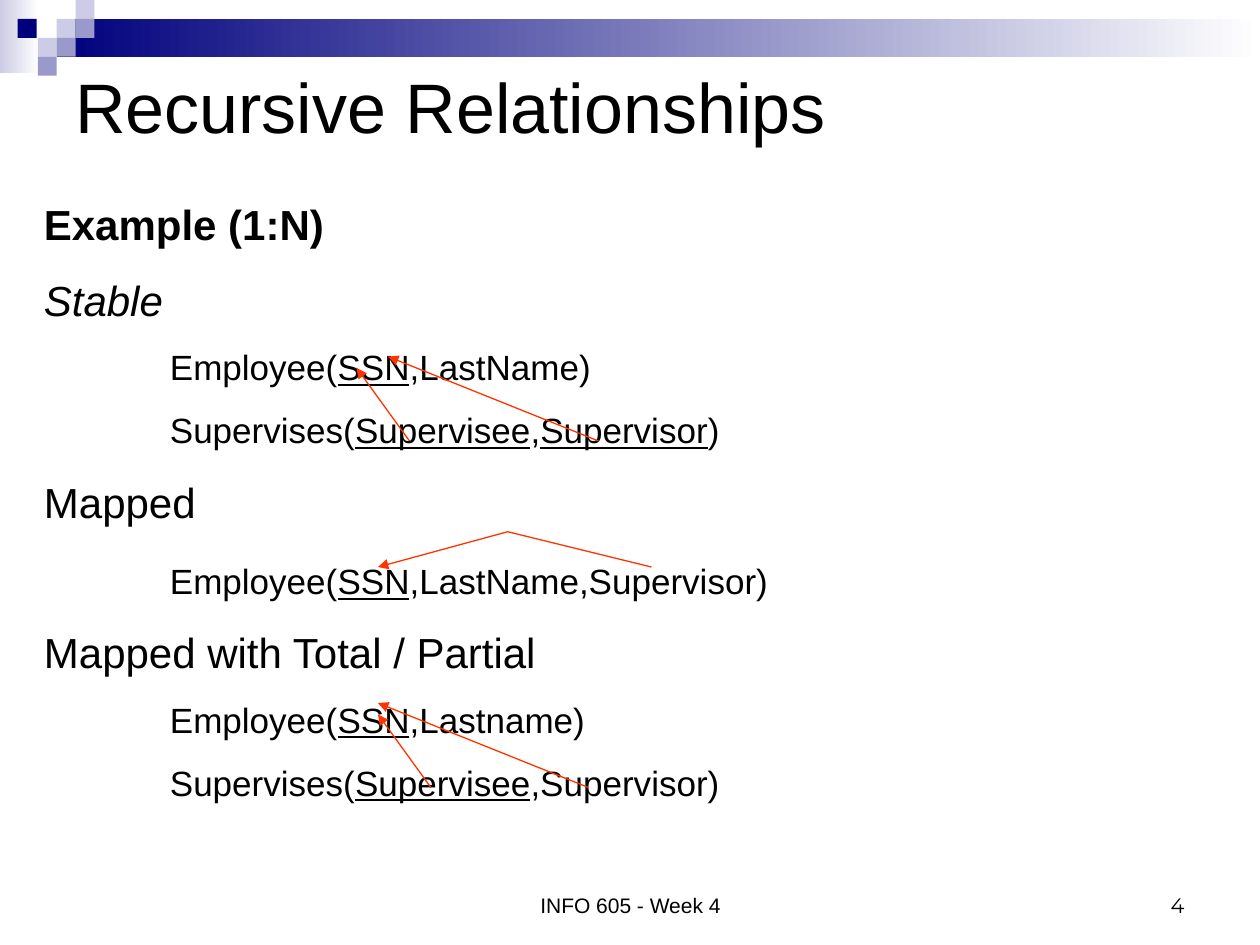
"""Build the Recursive Relationships slide with its schema notation and reference arrows."""
from lxml.etree import SubElement
from pptx import Presentation
from pptx.dml.color import RGBColor
from pptx.enum.shapes import MSO_CONNECTOR, MSO_SHAPE
from pptx.enum.text import MSO_ANCHOR, PP_ALIGN
from pptx.oxml.ns import qn
from pptx.util import Inches, Pt

NAVY = RGBColor(0x00, 0x00, 0x7D)
LAVENDER = RGBColor(0xCC, 0xCC, 0xE6)
PERIWINKLE = RGBColor(0x99, 0x99, 0xCC)
WHITE = RGBColor(0xFF, 0xFF, 0xFF)
BLACK = RGBColor(0x00, 0x00, 0x00)
ORANGE = RGBColor(0xFF, 0x33, 0x00)


def style_paragraph(paragraph, size, name="Arial"):
    paragraph.font.size = Pt(size)
    paragraph.font.name = name
    paragraph.font.color.rgb = BLACK


def style_arrow(arrow):
    arrow.line.color.rgb = ORANGE
    arrow.line.width = Pt(0.75)
    SubElement(arrow.line._get_or_add_ln(), qn("a:tailEnd"), type="triangle")


presentation = Presentation()
presentation.slide_width = Inches(10)
presentation.slide_height = Inches(7.5)
slide = presentation.slides.add_slide(presentation.slide_layouts[6])
shapes = slide.shapes

bands = [
    (0, 0, 0.31, 0.58, LAVENDER),
    (0.45, 0.15, 9.55, 0.3, NAVY),
]
for left, top, width, height, color in bands:
    band = shapes.add_shape(
        MSO_SHAPE.RECTANGLE, Inches(left), Inches(top), Inches(width), Inches(height)
    )
    band.shadow.inherit = False
    band.line.fill.background()
    band.fill.gradient()
    band.fill.gradient_angle = 0
    for stop, stop_color in zip(band.fill.gradient_stops, (color, WHITE)):
        stop.color.rgb = stop_color

tile_size = Inches(0.15)
tiles = [
    (0.45, 0.15, LAVENDER),
    (0.6, 0, LAVENDER),
    (0.6, 0.15, PERIWINKLE),
    (0.3, 0.3, LAVENDER),
    (0.14, 0.15, NAVY),
    (0.45, 0.3, PERIWINKLE),
    (0.3, 0.45, PERIWINKLE),
]
for left, top, color in tiles:
    tile = shapes.add_shape(
        MSO_SHAPE.RECTANGLE, Inches(left), Inches(top), tile_size, tile_size
    )
    tile.shadow.inherit = False
    tile.line.fill.background()
    tile.fill.solid()
    tile.fill.fore_color.rgb = color

labels = [
    ("INFO 605 - Week 4", 3.42, 6.83, 3.17, 0.5, 12, "Arial", PP_ALIGN.CENTER, MSO_ANCHOR.BOTTOM),
    ("4", 7.17, 6.83, 2.33, 0.5, 12, "Montserrat", PP_ALIGN.RIGHT, MSO_ANCHOR.BOTTOM),
    ("Recursive Relationships", 0.5, 0.5, 9, 0.67, 40, "Arial", PP_ALIGN.LEFT, MSO_ANCHOR.MIDDLE),
]
for text, left, top, width, height, size, font_name, alignment, anchor in labels:
    label = shapes.add_textbox(Inches(left), Inches(top), Inches(width), Inches(height))
    label.text_frame.word_wrap = True
    label.text_frame.vertical_anchor = anchor
    paragraph = label.text_frame.paragraphs[0]
    paragraph.text = text
    paragraph.alignment = alignment
    style_paragraph(paragraph, size, font_name)

body = shapes.add_textbox(Inches(0.25), Inches(1.33), Inches(9.58), Inches(5.1))
body.text_frame.word_wrap = True
body_lines = [
    ("Example (1:N)", False),
    ("Stable", False),
    ("Employee(_SSN_,LastName)", True),
    ("Supervises(_Supervisee_,_Supervisor_)", True),
    ("Mapped", False),
    ("Employee(_SSN_,LastName,Supervisor)", True),
    ("Mapped with Total / Partial", False),
    ("Employee(_SSN_,Lastname)", True),
    ("Supervises(_Supervisee_,Supervisor)", True),
]
for index, (text, indented) in enumerate(body_lines):
    paragraph = body.text_frame.paragraphs[0] if index == 0 else body.text_frame.add_paragraph()
    paragraph.line_spacing = 1.5
    style_paragraph(paragraph, 20 if indented else 24)
    if indented:
        paragraph._p.get_or_add_pPr().set("marL", str(Inches(1)))
    for position, part in enumerate(text.split("_")):
        run = paragraph.add_run()
        run.text = part
        if position % 2:
            run.font.underline = True
paragraphs = body.text_frame.paragraphs
paragraphs[0].font.bold = True
paragraphs[1].font.italic = True
paragraphs[5].space_before = Pt(7)

references = [
    (3.25, 3.5, 2.83, 2.92),
    (4.75, 3.5, 3.08, 2.83),
    (3.42, 6.25, 3, 5.67),
    (4.67, 6.25, 3, 5.58),
]
for start_x, start_y, end_x, end_y in references:
    reference = shapes.add_connector(
        MSO_CONNECTOR.STRAIGHT, Inches(start_x), Inches(start_y), Inches(end_x), Inches(end_y)
    )
    style_arrow(reference)
    SubElement(reference._element.spPr, qn("a:effectLst"))

builder = shapes.build_freeform(Inches(5.17), Inches(4.5))
builder.add_line_segments(
    [(Inches(4.03), Inches(4.22)), (Inches(3), Inches(4.5))], close=False
)
self_reference = builder.convert_to_shape()
self_reference.shadow.inherit = False
self_reference.fill.background()
style_arrow(self_reference)

presentation.save("out.pptx")
